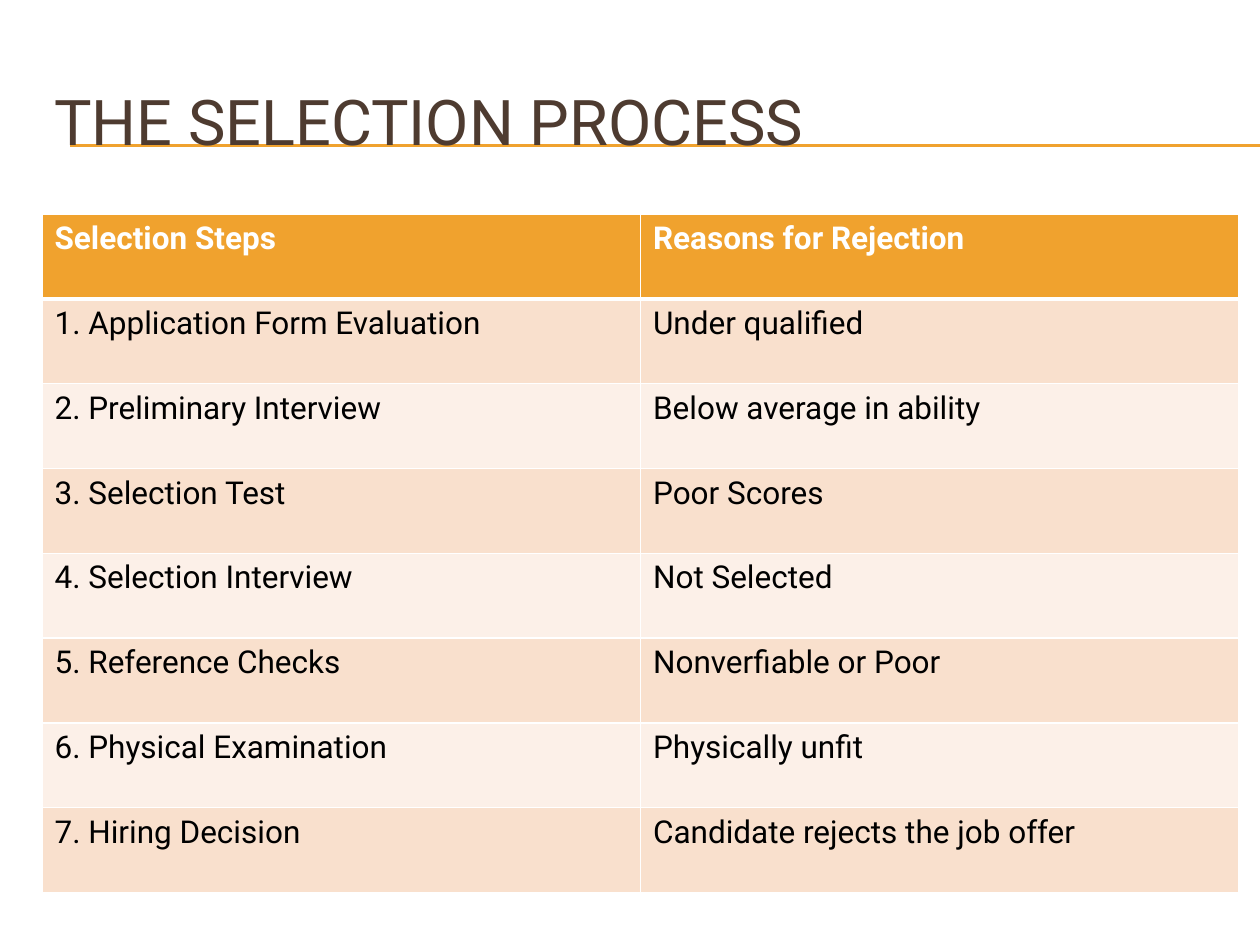
from lxml import etree
from pptx import Presentation
from pptx.dml.color import RGBColor
from pptx.enum.shapes import MSO_CONNECTOR
from pptx.enum.text import MSO_ANCHOR
from pptx.oxml.ns import qn
from pptx.util import Pt

STRAIGHT = MSO_CONNECTOR.STRAIGHT
MIDDLE = MSO_ANCHOR.MIDDLE
FONT = "Roboto"
WHITE, BLACK, BROWN, ORANGE = "FFFFFF", "000000", "4E3B30", "F0A22E"
BANDS = ("FCF0E8", "F9E0CD")
ROWS = [
    ("Selection Steps", "Reasons for Rejection"),
    ("1. Application Form Evaluation", "Under qualified"),
    ("2. Preliminary Interview", "Below average in ability"),
    ("3. Selection Test", "Poor Scores"),
    ("4. Selection Interview", "Not Selected"),
    ("5. Reference Checks", "Nonverfiable or Poor"),
    ("6. Physical Examination", "Physically unfit"),
    ("7. Hiring Decision", "Candidate rejects the job offer"),
]


def rgb(color):
    """Turn a hex string into a colour."""
    return RGBColor.from_string(color)


def set_text(tf, text, size, color, bold=False):
    """Write one line of formatted text into a text frame."""
    tf.text = text
    font = tf.paragraphs[0].runs[0].font
    font.name, font.size, font.bold = FONT, Pt(size), bold
    font.color.rgb = rgb(color)


def add_rule(s, y):
    """Draw a thin orange rule running to the right edge."""
    line = s.shapes.add_connector(STRAIGHT, Pt(40.3), Pt(y), Pt(720), Pt(y))
    line.line.color.rgb = rgb(ORANGE)
    line.line.width = Pt(0.75)
    etree.SubElement(line._element.spPr, qn("a:effectLst"))


def add_title(s, text):
    """Add the slide title."""
    sp = s.shapes.add_textbox(Pt(24), Pt(36), Pt(684), Pt(66))
    tf = sp.text_frame
    tf.word_wrap = True
    tf.vertical_anchor = MIDDLE
    set_text(tf, text, 36, BROWN)


def set_borders(cell, top, bottom):
    """Give a cell white borders, with its own top and bottom widths."""
    tc_pr = cell._tc.get_or_add_tcPr()
    for side, width in (("L", 1), ("R", 1), ("T", top), ("B", bottom)):
        ln = etree.SubElement(tc_pr, qn(f"a:ln{side}"), w=str(Pt(width)))
        fill = etree.SubElement(ln, qn("a:solidFill"))
        etree.SubElement(fill, qn("a:srgbClr"), val=WHITE)


def add_steps_table(s, rows):
    """Add the table of selection steps with a header and banded rows."""
    height = Pt(48.45)
    table = s.shapes.add_table(len(rows), 2, Pt(24), Pt(122.4),
                               Pt(684), height * len(rows)).table
    for i, texts in enumerate(rows):
        table.rows[i].height = height
        header = i == 0
        for cell, text in zip(table.rows[i].cells, texts):
            set_borders(cell, 3 if i == 1 else 1, 3 if header else 1)
            cell.fill.solid()
            cell.fill.fore_color.rgb = rgb(ORANGE if header else BANDS[i % 2])
            set_text(cell.text_frame, text, 18, WHITE if header else BLACK, header)


def main():
    """Build the slide and save it."""
    prs = Presentation()
    prs.slide_width, prs.slide_height = Pt(720), Pt(540)
    s = prs.slides.add_slide(prs.slide_layouts[6])
    for y in (82.8, 83.5):
        add_rule(s, y)
    add_title(s, "THE SELECTION PROCESS")
    add_steps_table(s, ROWS)
    prs.save("out.pptx")


if __name__ == "__main__":
    main()
